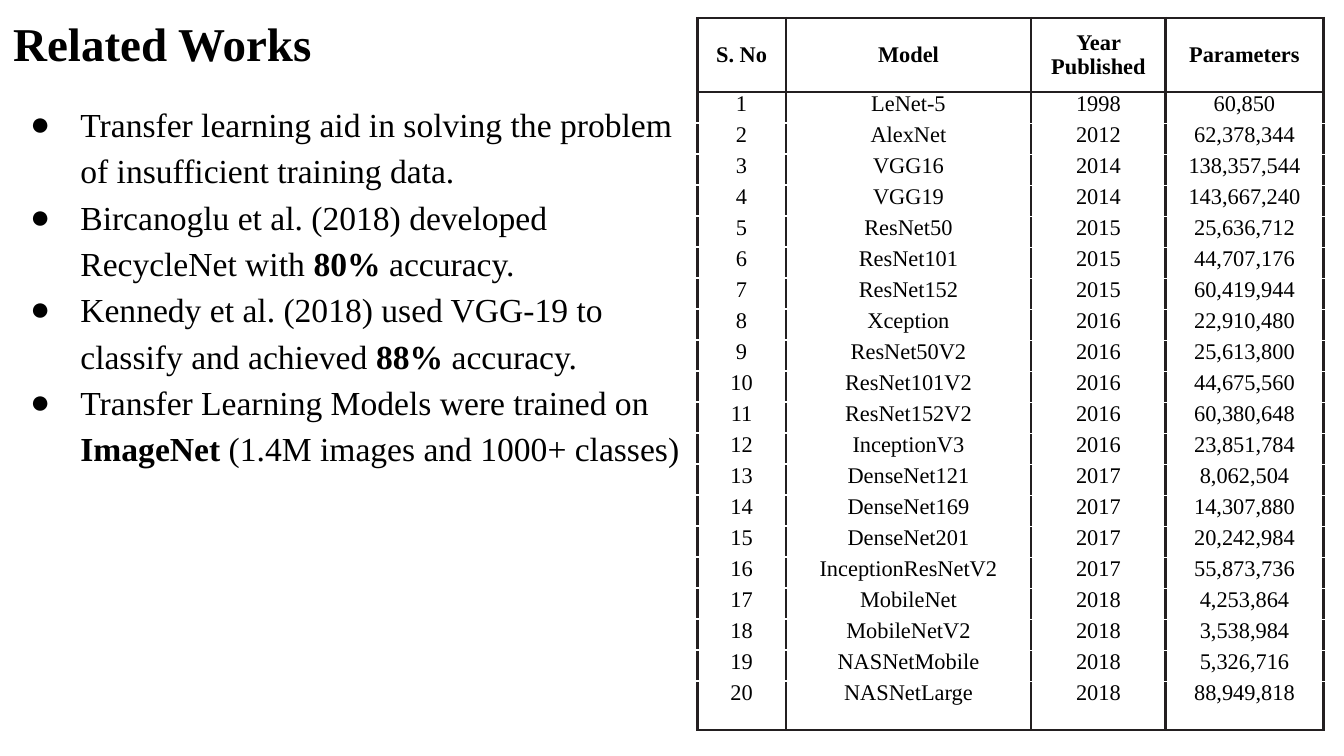
from lxml import etree
from pptx import Presentation
from pptx import util as u
from pptx.dml.color import RGBColor
from pptx.enum import text
from pptx.oxml import ns

BLACK = RGBColor(0x00, 0x00, 0x00)
WHITE = RGBColor(0xFF, 0xFF, 0xFF)
RULE = RGBColor(0x23, 0x1F, 0x20)
FONT = "Times New Roman"


def add_span(para, words, size, bold=False):
    span = para.add_run()
    span.text = words
    span.font.name = FONT
    span.font.size = u.Pt(size)
    span.font.bold = bold
    span.font.color.rgb = BLACK


def add_border(cell, side, color, width):
    properties = cell._tc.get_or_add_tcPr()
    line = etree.SubElement(properties, ns.qn(f"a:ln{side}"), w=str(u.Pt(width)))
    fill = etree.SubElement(line, ns.qn("a:solidFill"))
    etree.SubElement(fill, ns.qn("a:srgbClr"), val=str(color))


deck = Presentation()
deck.slide_width = u.Cm(25.4)
deck.slide_height = u.Cm(14.29)
page = deck.slides.add_slide(deck.slide_layouts[6])

# Title
box = page.shapes.add_textbox(u.Cm(0), u.Cm(0), u.Cm(23.67), u.Cm(1.6))
frame = box.text_frame
frame.word_wrap = True
frame.vertical_anchor = text.MSO_ANCHOR.BOTTOM
frame.margin_left = frame.margin_right = u.Cm(0.25)
frame.margin_top = frame.margin_bottom = u.Cm(0.25)
add_span(frame.paragraphs[0], "Related Works", 25.2, True)

# Bullet list: each item is a list of (words, bold)
bullets = [
    [("Transfer learning aid in solving the problem of insufficient training data.", False)],
    [("Bircanoglu et al. (2018) developed RecycleNet with ", False),
     ("80%", True), (" accuracy.", False)],
    [("Kennedy et al. (2018) used VGG-19 to classify and achieved ", False),
     ("88%", True), (" accuracy.", False)],
    [("Transfer Learning Models were trained on ", False),
     ("ImageNet", True), (" (1.4M images and 1000+ classes)", False)],
]
box = page.shapes.add_textbox(u.Cm(0), u.Cm(1.6), u.Cm(13.18), u.Cm(11.23))
frame = box.text_frame
frame.word_wrap = True
frame.margin_left = frame.margin_right = u.Cm(0.25)
frame.margin_top = frame.margin_bottom = u.Cm(0.25)
for number, item in enumerate(bullets):
    para = frame.add_paragraph() if number else frame.paragraphs[0]
    para.line_spacing = 1.15
    properties = para._p.get_or_add_pPr()
    properties.set("marL", str(u.Cm(1.27)))
    properties.set("indent", str(u.Cm(-0.95)))
    color = etree.SubElement(properties, ns.qn("a:buClr"))
    etree.SubElement(color, ns.qn("a:srgbClr"), val=str(BLACK))
    etree.SubElement(properties, ns.qn("a:buFont"), typeface=FONT)
    etree.SubElement(properties, ns.qn("a:buChar"), char="●")
    for words, bold in item:
        add_span(para, words, 18, bold)

# Model table
models = [
    ("LeNet-5", "1998", "60,850"),
    ("AlexNet", "2012", "62,378,344"),
    ("VGG16", "2014", "138,357,544"),
    ("VGG19", "2014", "143,667,240"),
    ("ResNet50", "2015", "25,636,712"),
    ("ResNet101", "2015", "44,707,176"),
    ("ResNet152", "2015", "60,419,944"),
    ("Xception", "2016", "22,910,480"),
    ("ResNet50V2", "2016", "25,613,800"),
    ("ResNet101V2", "2016", "44,675,560"),
    ("ResNet152V2", "2016", "60,380,648"),
    ("InceptionV3", "2016", "23,851,784"),
    ("DenseNet121", "2017", "8,062,504"),
    ("DenseNet169", "2017", "14,307,880"),
    ("DenseNet201", "2017", "20,242,984"),
    ("InceptionResNetV2", "2017", "55,873,736"),
    ("MobileNet", "2018", "4,253,864"),
    ("MobileNetV2", "2018", "3,538,984"),
    ("NASNetMobile", "2018", "5,326,716"),
    ("NASNetLarge", "2018", "88,949,818"),
]
rows = [("S. No", "Model", "Year Published", "Parameters")]
rows += [(str(number), *model) for number, model in enumerate(models, 1)]
last = len(rows) - 1

column_widths = [1.67, 4.64, 2.54, 2.98]
header_height, footer_height = 1.4, 0.93
row_height = 11.15 / (last - 1)
row_heights = [header_height] + [row_height] * (last - 1) + [footer_height]

table = page.shapes.add_table(
    len(rows), len(column_widths), u.Cm(13.18), u.Cm(0.34),
    u.Cm(sum(column_widths)), u.Cm(sum(row_heights))).table
table.first_row = table.horz_banding = False
for column, width in zip(table.columns, column_widths):
    column.width = u.Cm(width)

for r, values in enumerate(rows):
    table.rows[r].height = u.Cm(row_heights[r])
    for c, value in enumerate(values):
        cell = table.cell(r, c)
        cell.margin_left = cell.margin_right = cell.margin_top = cell.margin_bottom = 0
        cell.vertical_anchor = text.MSO_ANCHOR.TOP if r else text.MSO_ANCHOR.MIDDLE
        para = cell.text_frame.paragraphs[0]
        para.alignment = text.PP_ALIGN.CENTER
        add_span(para, value, 12, r == 0)

        # Dark frame, header and columns; white lines between the model rows
        dark = (RULE, 1.5)
        light = (WHITE, 0.5 if c else 0.75)
        add_border(cell, "L", *dark)
        add_border(cell, "R", *dark)
        add_border(cell, "T", *(dark if r <= 1 else light))
        add_border(cell, "B", *(dark if r in (0, last) else light))
        cell.fill.background()

deck.save("out.pptx")
